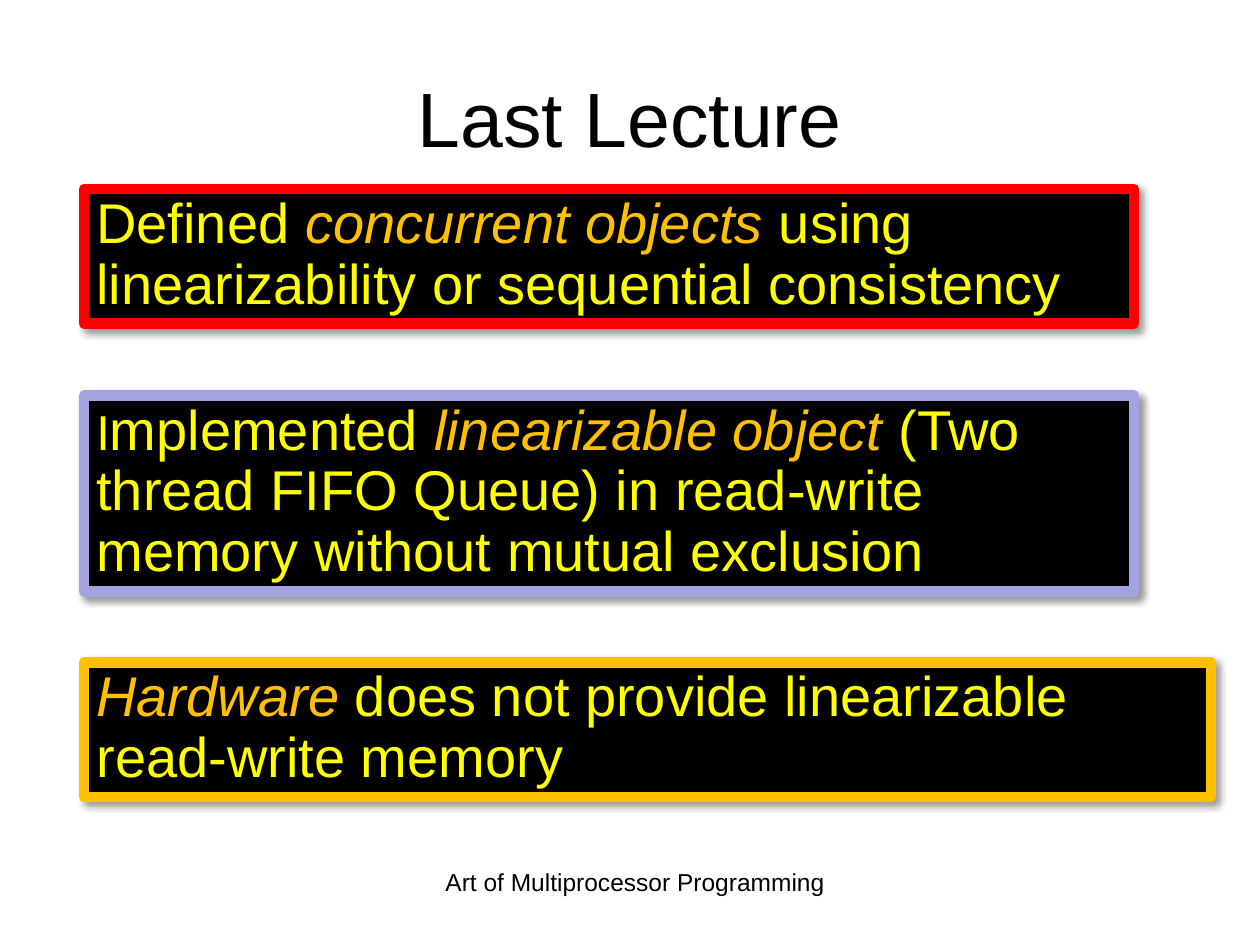
from lxml import etree
from pptx import Presentation
from pptx.dml.color import RGBColor
from pptx.enum.shapes import MSO_SHAPE
from pptx.enum.text import MSO_ANCHOR, PP_ALIGN
from pptx.oxml.ns import qn
from pptx.util import Pt

RECTANGLE = MSO_SHAPE.RECTANGLE
TOP, MIDDLE = MSO_ANCHOR.TOP, MSO_ANCHOR.MIDDLE
LEFT, CENTER = PP_ALIGN.LEFT, PP_ALIGN.CENTER

FONT = "Arial"
COLORS = {
    "black": "000000",
    "red": "FF0000",
    "lavender": "A3A3E0",
    "amber": "FFC000",
    "yellow": "FFFF00",
}


def color(name):
    return RGBColor.from_string(COLORS[name])


def write_text(shape, runs, align=LEFT, anchor=TOP, line_spacing=1.0):
    """Fill a shape with one paragraph; each run is (text, size, color, italic)."""
    frame = shape.text_frame
    frame.word_wrap = True
    frame.vertical_anchor = anchor
    paragraph = frame.paragraphs[0]
    paragraph.alignment = align
    paragraph.line_spacing = line_spacing
    for text, size, color_name, italic in runs:
        run = paragraph.add_run()
        run.text = text
        run.font.name = FONT
        run.font.size = Pt(size)
        run.font.italic = italic
        run.font.color.rgb = color(color_name)


def add_drop_shadow(shape):
    shape.shadow.inherit = False
    effects = shape._element.spPr.find(qn("a:effectLst"))
    shadow = etree.SubElement(
        effects, qn("a:outerShdw"), blurRad=str(Pt(4)), dist=str(Pt(3)),
        dir=str(45 * 60000), algn="tl", rotWithShape="0")
    shade = etree.SubElement(shadow, qn("a:srgbClr"), val=COLORS["black"])
    etree.SubElement(shade, qn("a:alpha"), val="40000")


def add_label(slide, box, text, size, anchor=TOP):
    """Centred plain text, used for the title and the footer."""
    label = slide.shapes.add_textbox(*map(Pt, box))
    write_text(label, [(text, size, "black", False)], align=CENTER, anchor=anchor)


def add_statement(slide, box, border, runs):
    """Black panel with a thick border and a drop shadow."""
    panel = slide.shapes.add_shape(RECTANGLE, *map(Pt, box))
    panel.fill.solid()
    panel.fill.fore_color.rgb = color("black")
    panel.line.color.rgb = color(border)
    panel.line.width = Pt(6)
    add_drop_shadow(panel)
    write_text(panel, runs, line_spacing=0.9)


def plain(text, size=32):
    return text, size, "yellow", False


def key_term(text):
    return text, 32, "amber", True


def main():
    presentation = Presentation()
    presentation.slide_width, presentation.slide_height = Pt(720), Pt(540)
    slide = presentation.slides.add_slide(presentation.slide_layouts[6])

    # Title
    add_label(slide, (36, 21.6, 648, 90), "Last Lecture", 44, anchor=MIDDLE)

    # Statements: top, width, height, border, runs
    left = 48
    statements = [
        (108, 600, 77, "red", [
            plain("Defined "), key_term("concurrent objects "),
            plain("using linearizability or sequential consistency")]),
        (226, 600, 112, "lavender", [
            plain("I", 28), plain("mplemented "),
            key_term("linearizable object "),
            plain("(Two thread FIFO Queue) in read-write memory "
                  "without mutual exclusion")]),
        (378.5, 644, 77, "amber", [
            key_term("Hardware"),
            plain(" does not provide linearizable read-write memory")]),
    ]
    for top, width, height, border, runs in statements:
        add_statement(slide, (left, top, width, height), border, runs)

    # Footer
    add_label(slide, (240, 492, 246, 37.5), "Art of Multiprocessor Programming", 14)

    presentation.save("out.pptx")


if __name__ == "__main__":
    main()
